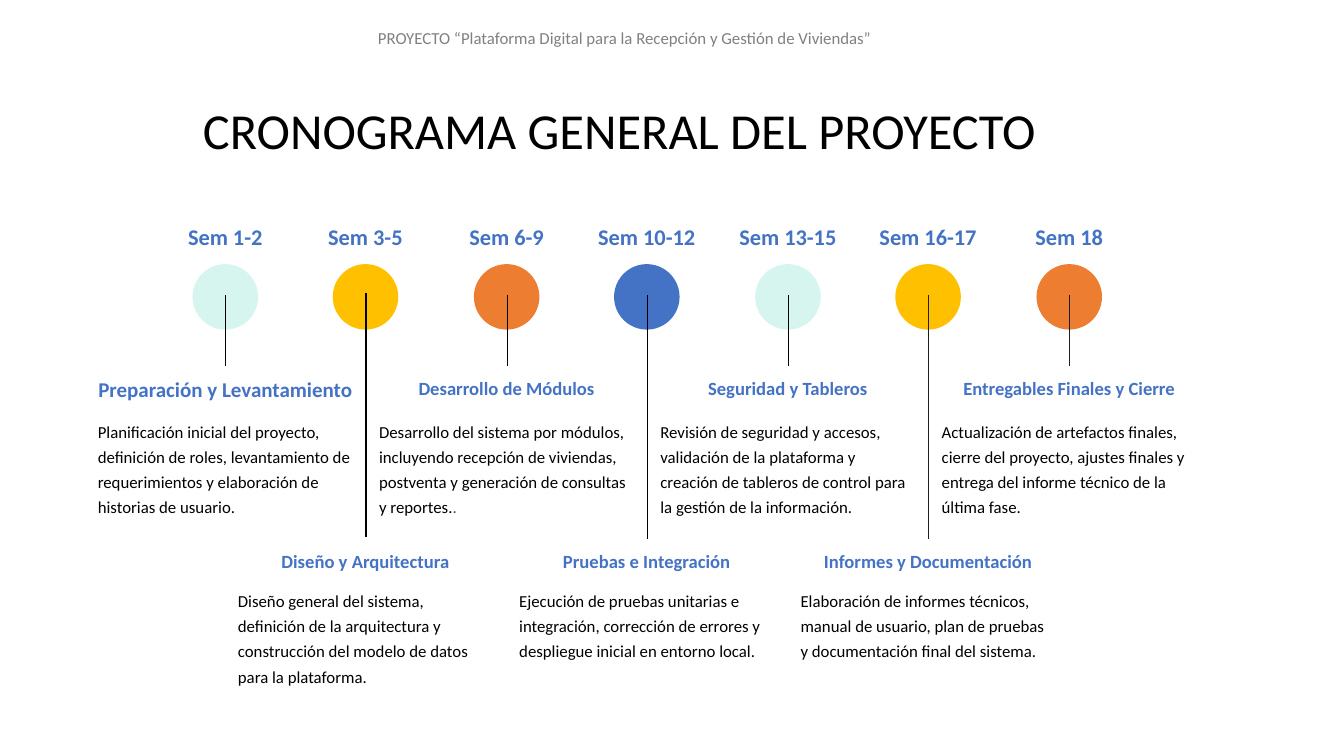
import pptx
import pptx.util
import pptx.dml.color
import pptx.enum.shapes
import pptx.enum.text
import pptx.oxml.ns
import lxml.etree

PX = 9144  # EMU per px, 100 px to the inch
COLORS = {
    "black": "000000", "soft_black": "201C20", "gray": "808080", "slate": "44546A",
    "mint": "D6F5EE", "yellow": "FFC000", "orange": "ED7D31", "blue": "4472C4",
}
ALIGN = pptx.enum.text.PP_ALIGN
ANCHOR = pptx.enum.text.MSO_ANCHOR


def rgb(name):
    return pptx.dml.color.RGBColor.from_string(COLORS[name])


def write(box, place, insets, runs, size, bold=False, align=ALIGN.LEFT,
          anchor=ANCHOR.TOP, line_spacing=1.0, space_after=0):
    """Place a text shape and fill it with (text, colour) runs."""
    box.left, box.top, box.width, box.height = [n * PX for n in place]
    frame = box.text_frame
    frame.word_wrap = True
    frame.auto_size = pptx.enum.text.MSO_AUTO_SIZE.NONE
    frame.vertical_anchor = anchor
    (frame.margin_left, frame.margin_top,
     frame.margin_right, frame.margin_bottom) = [n * PX for n in insets]
    paragraph = frame.paragraphs[0]
    paragraph.alignment = align
    paragraph.line_spacing = line_spacing
    paragraph.space_before = pptx.util.Pt(0)
    paragraph.space_after = pptx.util.Pt(space_after)
    for text, color in runs:
        run = paragraph.add_run()
        run.text = text
        run.font.name = "Calibri"
        run.font.size = pptx.util.Pt(size)
        run.font.bold = bold
        run.font.color.rgb = rgb(color)


deck = pptx.Presentation()
deck.slide_width, deck.slide_height = 1333 * PX, 750 * PX
slide = deck.slides.add_slide(deck.slide_layouts[5])
shapes = slide.shapes

# Project header and title
write(shapes.add_textbox(0, 0, 0, 0), (365, 23, 536, 30), (10, 5, 10, 5),
      [("PROYECTO “Plataforma Digital para la Recepción y Gestión de Viviendas”", "gray")], 12)
write(shapes.title, (0, 92, 1242, 69), (0, 13, 13, 13),
      [("CRONOGRAMA GENERAL DEL PROYECTO", "black")], 36,
      align=ALIGN.CENTER, line_spacing=0.9)

# Stages: weeks, circle, stem colour, stem top, heading, heading size, description runs
stages = [
    ("Sem 1-2", "mint", "black", 293, "Preparación y Levantamiento", 15,
     [("Planificación inicial del proyecto, definición de roles, levantamiento de "
       "requerimientos y elaboración de historias de usuario.", "black")]),
    ("Sem 3-5", "yellow", "black", 291, "Diseño y Arquitectura", 13.3,
     [("Diseño general del sistema, definición de la arquitectura y construcción "
       "del modelo de datos para la plataforma.", "black")]),
    ("Sem 6-9", "orange", "black", 293, "Desarrollo de Módulos", 13.3,
     [("Desarrollo del sistema por módulos, incluyendo recepción de viviendas, "
       "postventa y generación de consultas y reportes.", "black"), (".", "slate")]),
    ("Sem 10-12", "blue", "black", 293, "Pruebas e Integración", 13.3,
     [("Ejecución de pruebas unitarias e integración, corrección de errores y "
       "despliegue inicial en entorno local.", "black")]),
    ("Sem 13-15", "mint", "black", 293, "Seguridad y Tableros", 13.3,
     [("Revisión de seguridad y accesos, validación de la plataforma y creación de "
       "tableros de control para la gestión de la información.", "black")]),
    ("Sem 16-17", "yellow", "soft_black", 293, "Informes y Documentación", 13.3,
     [("Elaboración de informes técnicos, manual de usuario, plan de pruebas y "
       "documentación final del sistema.", "black")]),
    ("Sem 18", "orange", "soft_black", 293, "Entregables Finales y Cierre", 13.3,
     [("Actualización de artefactos finales, cierre del proyecto, ajustes finales y "
       "entrega del informe técnico de la última fase.", "black")]),
]

for i, (weeks, fill, stem_color, stem_top, heading, heading_size, description) in enumerate(stages):
    center = 224 + 279 * i // 2
    # Stages alternate between an upper and a lower row
    stem_length, heading_top, description_top = [(70, 363, 400), (242, 535, 568)][i % 2]

    # Week label
    write(shapes.add_textbox(0, 0, 0, 0), (center - 74, 208, 147, 53), (13, 13, 13, 13),
          [(weeks, "blue")], 16, True, ALIGN.CENTER, ANCHOR.BOTTOM, 0.9, 16)

    # Circle and its stem
    circle = shapes.add_shape(pptx.enum.shapes.MSO_SHAPE.OVAL,
                              (center - 33) * PX, 262 * PX, 65 * PX, 65 * PX)
    circle.shadow.inherit = False
    circle.fill.solid()
    circle.fill.fore_color.rgb = rgb(fill)
    circle.line.fill.background()
    stem = shapes.add_connector(pptx.enum.shapes.MSO_CONNECTOR.STRAIGHT, center * PX,
                                stem_top * PX, center * PX, (stem_top + stem_length) * PX)
    stem.line.color.rgb = rgb(stem_color)
    stem.line.width = pptx.util.Pt(0.75)
    lxml.etree.SubElement(stem._element.spPr, pptx.oxml.ns.qn("a:effectLst"))

    # Heading and description
    write(shapes.add_textbox(0, 0, 0, 0), (center - 134, heading_top, 267, 53), (7, 13, 7, 13),
          [(heading, "blue")], heading_size, True, ALIGN.CENTER,
          line_spacing=0.9, space_after=16)
    write(shapes.add_textbox(0, 0, 0, 0), (center - 134, description_top, 267, 151),
          (7, 13, 7, 13), description, 12, line_spacing=1.25, space_after=16)

deck.save("out.pptx")
